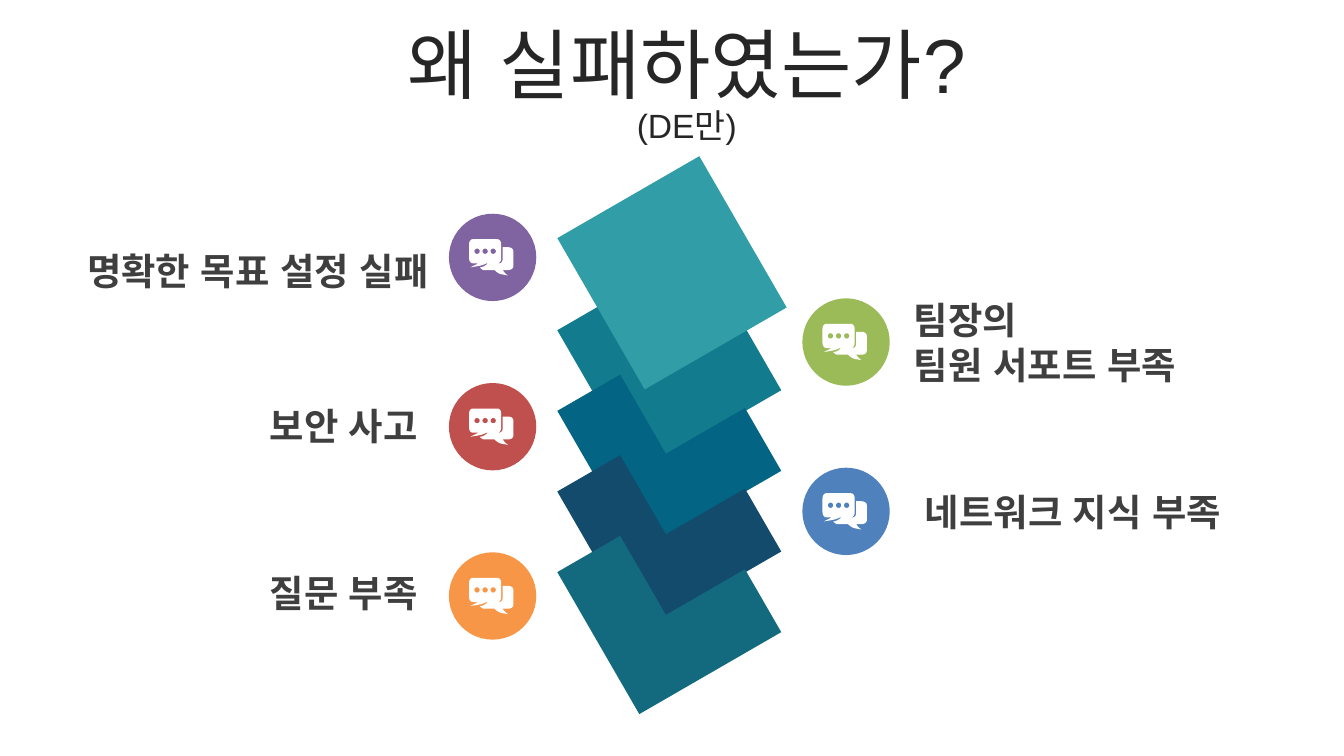
from math import cos, pi, sin

from lxml import etree
from pptx import Presentation
from pptx.dml.color import RGBColor
from pptx.enum.shapes import MSO_SHAPE
from pptx.enum.text import MSO_ANCHOR, MSO_AUTO_SIZE, PP_ALIGN
from pptx.oxml.ns import qn
from pptx.util import Inches, Pt

RECT, OVAL = MSO_SHAPE.RECTANGLE, MSO_SHAPE.OVAL
LEFT, CENTER, RIGHT = PP_ALIGN.LEFT, PP_ALIGN.CENTER, PP_ALIGN.RIGHT
TOP, MIDDLE = MSO_ANCHOR.TOP, MSO_ANCHOR.MIDDLE
GROW = MSO_AUTO_SIZE.SHAPE_TO_FIT_TEXT

FONT = "Arial"
WHITE = RGBColor(0xFF, 0xFF, 0xFF)
TITLE_COLOR = RGBColor(0x26, 0x26, 0x26)
LABEL_COLOR = RGBColor(0x3F, 0x3F, 0x3F)
PURPLE = RGBColor(0x80, 0x64, 0xA2)
GREEN = RGBColor(0x9B, 0xBB, 0x59)
RED = RGBColor(0xC0, 0x50, 0x4D)
BLUE = RGBColor(0x4F, 0x81, 0xBD)
ORANGE = RGBColor(0xF7, 0x96, 0x46)
TOP_TILE = RGBColor(0x30, 0x9D, 0xA7)
LOWER_TILES = [
    RGBColor(0x12, 0x7B, 0x8E),
    RGBColor(0x03, 0x65, 0x83),
    RGBColor(0x12, 0x4B, 0x6C),
    RGBColor(0x13, 0x6A, 0x7E),
]

TILE_OUTLINE = [(0, 0.68), (0.68, 0.68), (0.68, 0), (1.22, 0), (1.22, 1.22), (0, 1.22)]
FRONT_BUBBLE = [
    (0.03, 0), (0.21, 0), (0.23, 0, 0.24, 0.02, 0.24, 0.04),
    (0.24, 0.14), (0.24, 0.16, 0.23, 0.18, 0.21, 0.18),
    (0.13, 0.18), (0.09, 0.2, 0.07, 0.2, 0.01, 0.21),
    (0.05, 0.19, 0.05, 0.19, 0.07, 0.18),
    (0.03, 0.18), (0.01, 0.18, 0, 0.16, 0, 0.14),
    (0, 0.04), (0, 0.02, 0.01, 0, 0.03, 0),
]
BACK_BUBBLE = [
    (0.25, 0.06), (0.29, 0.06), (0.31, 0.06, 0.33, 0.07, 0.33, 0.09),
    (0.33, 0.2), (0.33, 0.22, 0.31, 0.23, 0.29, 0.23),
    (0.25, 0.23), (0.26, 0.24, 0.26, 0.25, 0.29, 0.27),
    (0.23, 0.26, 0.22, 0.26, 0.19, 0.23),
    (0.11, 0.23), (0.1, 0.23, 0.09, 0.22, 0.08, 0.21),
    (0.1, 0.21, 0.12, 0.2, 0.14, 0.18),
    (0.22, 0.18), (0.24, 0.18, 0.25, 0.17, 0.25, 0.15),
]

CAUSES = [
    (PURPLE, ["명확한 목표 설정 실패"], (0.2, 1.81, 3.06, 0.41)),
    (GREEN, ["팀장의", "팀원 서포트 부족"], (6.73, 2.17, 2.79, 0.75)),
    (RED, ["보안 사고"], (0.6, 2.96, 2.58, 0.41)),
    (BLUE, ["네트워크 지식 부족"], (6.81, 3.6, 2.64, 0.41)),
    (ORANGE, ["질문 부족"], (0.6, 4.2, 2.58, 0.41)),
]


def paint(sp, color):
    sp.shadow.inherit = False
    sp.fill.solid()
    sp.fill.fore_color.rgb = color
    sp.line.fill.background()


def add_preset(s, kind, x, y, w, h, color):
    sp = s.shapes.add_shape(kind, Inches(x), Inches(y), Inches(w), Inches(h))
    paint(sp, color)
    return sp


def add_outline(s, x, y, contours, color):
    emu = [[(Inches(px), Inches(py)) for px, py in c] for c in contours]
    builder = s.shapes.build_freeform(*emu[0][0])
    for i, points in enumerate(emu):
        if i:
            builder.move_to(*points[0])
        builder.add_line_segments(points[1:], close=True)
    sp = builder.convert_to_shape(Inches(x), Inches(y))
    paint(sp, color)
    return sp


def flatten(segments, steps=6):
    points = []
    for seg in segments:
        if len(seg) == 2:
            points.append(seg)
            continue
        x0, y0 = points[-1]
        x1, y1, x2, y2, x3, y3 = seg
        for i in range(1, steps + 1):
            t = i / steps
            a, b, c, d = (1 - t) ** 3, 3 * t * (1 - t) ** 2, 3 * t * t * (1 - t), t ** 3
            points.append((a * x0 + b * x1 + c * x2 + d * x3,
                           a * y0 + b * y1 + c * y2 + d * y3))
    return points


def dot(cx, cy, radius=0.02, steps=20):
    angles = [-2 * pi * i / steps for i in range(steps)]
    return [(cx + radius * cos(a), cy + radius * sin(a)) for a in angles]


def add_text(s, box, lines, color, align, anchor=TOP, bold=None, spacing=None):
    tb = s.shapes.add_textbox(*[Inches(v) for v in box])
    tf = tb.text_frame
    tf.word_wrap = True
    tf.vertical_anchor = anchor
    tf.margin_left = tf.margin_right = Inches(0.07)
    tf.margin_top = tf.margin_bottom = Inches(0.04)
    for i, (text, size) in enumerate(lines):
        p = tf.add_paragraph() if i else tf.paragraphs[0]
        p.alignment = align
        p.line_spacing = spacing
        r = p.add_run()
        r.text = text
        r.font.name = FONT
        r.font.size = Pt(size)
        r.font.bold = bold
        r.font.color.rgb = color
        etree.SubElement(r._r.get_or_add_rPr(), qn("a:ea"), typeface=FONT)
    return tf


def add_title(s, box):
    lines = [("왜 실패하였는가?", 41), ("(DE만)", 18)]
    add_text(s, box, lines, TITLE_COLOR, CENTER, anchor=MIDDLE, spacing=0.9)


def add_tile_stack(s, x, y):
    for i, color in enumerate(LOWER_TILES):
        tile = add_outline(s, x + 0.02, y + 0.65 + 0.6 * i, [TILE_OUTLINE], color)
        tile.rotation = 60
        if i == 0:
            add_preset(s, RECT, x, y, 1.3, 1.22, TOP_TILE).rotation = 60


def add_badge(s, x, y, color):
    add_preset(s, OVAL, x, y, 0.65, 0.65, color)
    dots = [dot(cx, 0.09) for cx in (0.06, 0.12, 0.18)]
    contours = [flatten(FRONT_BUBBLE), flatten(BACK_BUBBLE)] + dots
    add_outline(s, x + 0.15, y + 0.19, contours, WHITE)


def add_causes(s, x, y):
    for i, (color, lines, box) in enumerate(CAUSES):
        on_right = i % 2
        add_badge(s, x + 2.63 * on_right, y + 0.63 * i, color)
        tf = add_text(s, box, [(line, 20) for line in lines], LABEL_COLOR,
                      LEFT if on_right else RIGHT, bold=True)
        tf.auto_size = GROW


def main():
    prs = Presentation()
    prs.slide_width = Inches(10)
    prs.slide_height = prs.slide_width * 9 // 16
    s = prs.slides.add_slide(prs.slide_layouts[6])
    add_tile_stack(s, 4.35, 1.42)
    add_title(s, (1.54, 0.51, 7.14, 0.27))
    add_causes(s, 3.34, 1.59)
    prs.save("out.pptx")


if __name__ == "__main__":
    main()
